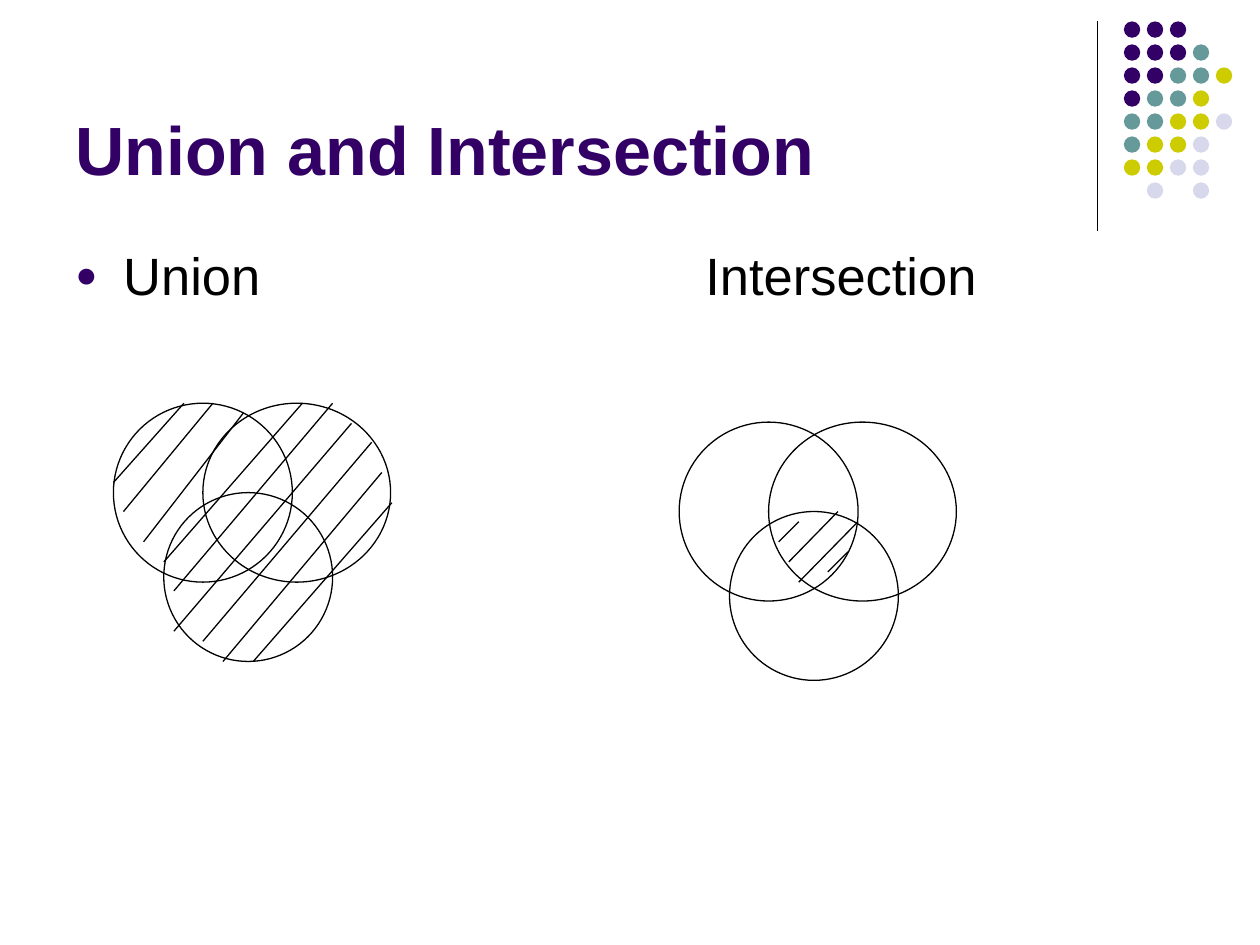
import lxml.etree
import pptx
import pptx.dml.color
import pptx.enum.shapes
import pptx.enum.text
import pptx.oxml
import pptx.oxml.ns
import pptx.util
from pptx.util import Inches

BLACK = pptx.dml.color.RGBColor(0x00, 0x00, 0x00)
PURPLE = pptx.dml.color.RGBColor(0x33, 0x00, 0x66)
TEAL = pptx.dml.color.RGBColor(0x66, 0x99, 0x99)
OLIVE = pptx.dml.color.RGBColor(0xCC, 0xCC, 0x00)
LAVENDER = pptx.dml.color.RGBColor(0xD8, 0xD8, 0xEC)

DOT_COLORS = {"P": PURPLE, "T": TEAL, "O": OLIVE, "L": LAVENDER}
DOT_ROWS = ["PPP", "PPPT", "PPTTO", "PTTO", "TTOOL", "TOOL", "OOLL", " L L"]
DOT_SIZE = 0.13
DOT_PITCH = 0.73 / 4

CIRCLES = [(0, 0, 1.42, 1.42), (0.71, 0, 1.49, 1.42), (0.4, 0.71, 1.34, 1.34)]
UNION_HATCHING = [
    (1.46, 3.2, 0.9, 3.83),
    (1.69, 3.2, 0.98, 4.06),
    (1.93, 3.28, 1.14, 4.3),
    (2.4, 3.2, 1.3, 4.46),
    (2.64, 3.2, 1.38, 4.69),
    (2.79, 3.36, 1.38, 5.01),
    (2.95, 3.51, 1.61, 5.09),
    (3.03, 3.75, 1.77, 5.25),
    (3.11, 3.99, 2.01, 5.25),
]
INTERSECTION_HATCHING = [
    (6.34, 4.14, 6.18, 4.3),
    (6.65, 4.06, 6.26, 4.46),
    (6.81, 4.14, 6.34, 4.62),
    (6.73, 4.38, 6.57, 4.54),
]


def add_line(slide, left, top, right, bottom):
    """Draw a thin black line without a shadow."""
    line = slide.shapes.add_connector(
        pptx.enum.shapes.MSO_CONNECTOR.STRAIGHT,
        Inches(left), Inches(top), Inches(right), Inches(bottom))
    line.line.color.rgb = BLACK
    line.line.width = pptx.util.Pt(0.75)
    properties = line._element.spPr
    lxml.etree.SubElement(properties, pptx.oxml.ns.qn("a:effectLst"))


def add_ellipse(slide, left, top, width, height, fill=None):
    """Draw a filled dot, or an outlined ellipse when there is no fill."""
    ellipse = slide.shapes.add_shape(
        pptx.enum.shapes.MSO_SHAPE.OVAL,
        Inches(left), Inches(top), Inches(width), Inches(height))
    ellipse.shadow.inherit = False
    if fill is None:
        ellipse.fill.background()
        ellipse.line.color.rgb = BLACK
        ellipse.line.width = pptx.util.Pt(0.75)
    else:
        ellipse.fill.solid()
        ellipse.fill.fore_color.rgb = fill
        ellipse.line.fill.background()


def add_dots(slide, left, top):
    """Draw the grid of coloured dots."""
    for row, codes in enumerate(DOT_ROWS):
        for column, code in enumerate(codes):
            if code in DOT_COLORS:
                add_ellipse(slide, left + column * DOT_PITCH, top + row * DOT_PITCH,
                            DOT_SIZE, DOT_SIZE, DOT_COLORS[code])


def add_venn(slide, left, top, hatching):
    """Draw three overlapping circles and their hatching."""
    for x, y, width, height in CIRCLES:
        add_ellipse(slide, left + x, top + y, width, height)
    for ends in hatching:
        add_line(slide, *ends)


def add_text(slide, left, top, width, height, text, size, color, bold, anchor):
    """Add a one-paragraph text box and return the paragraph."""
    box = slide.shapes.add_textbox(Inches(left), Inches(top), Inches(width), Inches(height))
    box.text_frame.word_wrap = True
    box.text_frame.vertical_anchor = anchor
    para = box.text_frame.paragraphs[0]
    span = para.add_run()
    span.text = text
    span.font.name = "Arial"
    span.font.size = pptx.util.Pt(size)
    span.font.bold = bold
    span.font.color.rgb = color
    return para


def add_bullet(para, tab):
    """Give a paragraph a hanging bullet and one tab stop."""
    para.space_before = pptx.util.Pt(7.5)
    properties = para._p.get_or_add_pPr()
    properties.set("marL", str(Inches(0.38)))
    properties.set("indent", str(-Inches(0.38)))
    namespace = pptx.oxml.ns.nsdecls("a")
    for xml in (
        f'<a:buClr {namespace}><a:srgbClr val="{PURPLE}"/></a:buClr>',
        f'<a:buSzPct {namespace} val="70000"/>',
        f'<a:buFont {namespace} typeface="Arial"/>',
        f'<a:buChar {namespace} char="●"/>',
        f'<a:tabLst {namespace}><a:tab pos="{Inches(tab)}" algn="l"/></a:tabLst>',
    ):
        properties.append(pptx.oxml.parse_xml(xml))


def main():
    """Build and save the slide."""
    deck = pptx.Presentation()
    deck.slide_width, deck.slide_height = Inches(10), Inches(7.5)
    slide = deck.slides.add_slide(deck.slide_layouts[6])
    add_line(slide, 8.71, 0.17, 8.71, 1.83)
    add_dots(slide, 8.92, 0.17)
    add_text(slide, 0.5, 0.13, 8.25, 1.42, "Union and Intersection", 39, PURPLE, True,
             pptx.enum.text.MSO_ANCHOR.BOTTOM)
    headings = add_text(slide, 0.5, 1.88, 9, 4.82, "Union\tIntersection", 30, BLACK, False,
                        pptx.enum.text.MSO_ANCHOR.TOP)
    add_bullet(headings, 5)
    add_venn(slide, 0.9, 3.2, UNION_HATCHING)
    add_venn(slide, 5.39, 3.35, INTERSECTION_HATCHING)
    deck.save("out.pptx")


if __name__ == "__main__":
    main()
